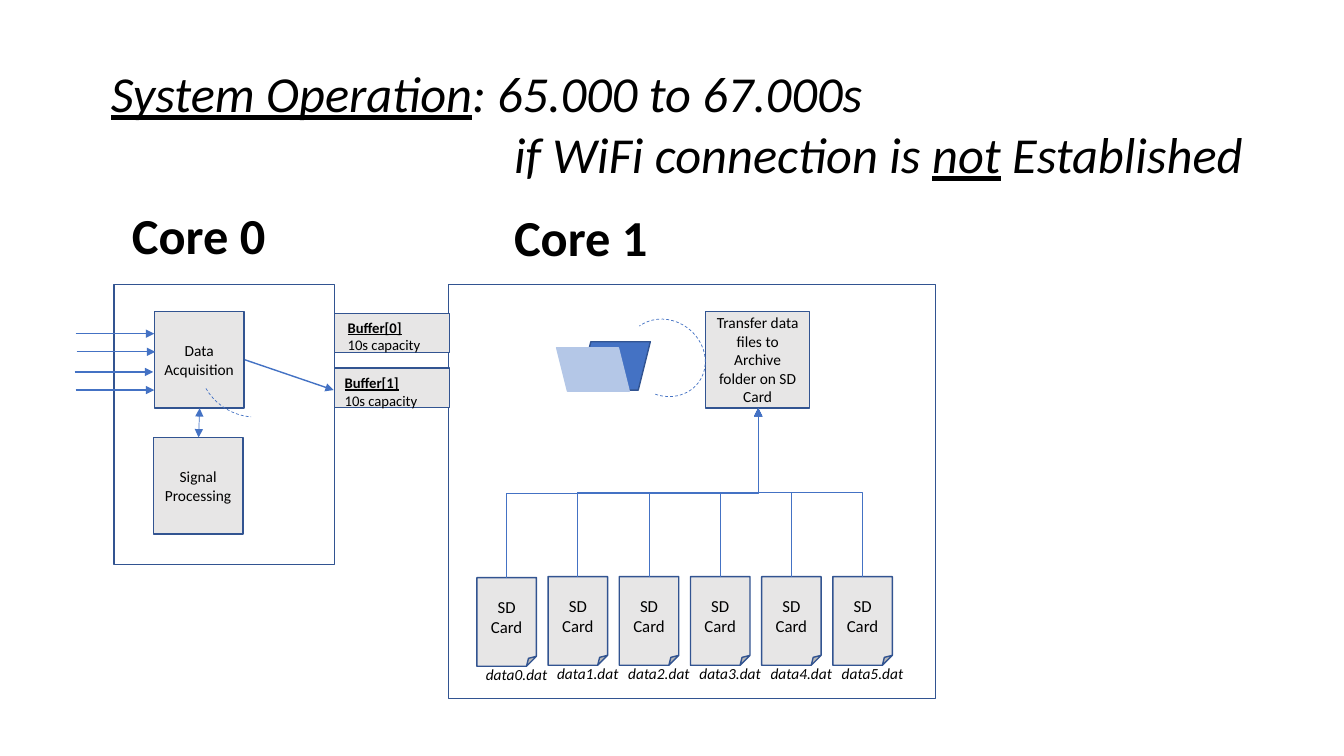
from pptx import Presentation, util as u
from pptx.dml.color import RGBColor
from pptx.enum import shapes, text
from pptx.enum.dml import MSO_LINE
from pptx.oxml import parse_xml
from pptx.oxml.ns import nsdecls

KIND = shapes.MSO_SHAPE
LINK = shapes.MSO_CONNECTOR
GREY, NAVY, BLUE, PALE, BLACK = "E7E6E6", "325491", "4472C4", "B4C7E7", "000000"

# Content: each paragraph is a list of (words, format) spans
ITALIC = {"italic": True}
LINED = {"italic": True, "underline": True}
TITLE = [[("System Operation", LINED), (": 65.000 to 67.000s", ITALIC)],
         [("if WiFi connection is ", ITALIC), ("not", LINED), (" Established", ITALIC)]]
CORES = [("Core 0", 1.21, 1.98), ("Core 1", 5, 2)]
FRAMES = [(1.13, 2.82, 2.19, 2.78), (4.45, 2.82, 4.83, 4.11)]
BUFFERS = [("Buffer[0]", 3.11, 3.35, 3.11), ("Buffer[1]", 3.65, 3.32, 3.66)]
CAPACITY = "10s capacity"
TASKS = [("Data Acquisition", 1.53, 3.09, 0.89, 0.96),
         ("Signal Processing", 1.52, 4.34, 0.89, 0.96),
         ("Transfer data files to Archive folder on SD Card", 7, 3.09, 1.03, 0.96)]
INPUTS = [(0.75, 3.31), (0.76, 3.49), (0.74, 3.69), (0.75, 3.87)]
ARCS = [((1.98, 3.04, 1.07, 1.11), (155.04, 213.81)),
        ((6.23, 3.14, 0.74, 0.82), (200.97, 75.71))]

# Card row
CARD_COUNT, CARD_LEFT, CARD_STEP = 6, 4.73, 0.706
CARD_TOP, CARD_W, CARD_H = 5.72, 0.59, 0.88
ARCHIVE_X, ARCHIVE_Y = 7.52, 4.05

deck = Presentation()
deck.slide_width, deck.slide_height = u.Inches(13.33), u.Inches(7.5)
page = deck.slides.add_slide(deck.slide_layouts[6])


def inches(*values):
    return [u.Inches(value) for value in values]


def color(value):
    return RGBColor.from_string(value)


def write(box, paras, size, align=text.PP_ALIGN.LEFT):
    """Fill a text frame and return its paragraphs."""
    frame = box.text_frame
    for index, spans in enumerate(paras):
        para = frame.paragraphs[0] if index == 0 else frame.add_paragraph()
        para.alignment = align
        for words, style in spans:
            span = para.add_run()
            span.text = words
            span.font.color.rgb = color(BLACK)
            for name, value in {"name": "Calibri", "size": u.Pt(size), **style}.items():
                setattr(span.font, name, value)
    return frame.paragraphs


def label(at, paras, size, wrap=False):
    box = page.shapes.add_textbox(*inches(*at))
    box.text_frame.word_wrap = wrap
    box.text_frame.auto_size = text.MSO_AUTO_SIZE.SHAPE_TO_FIT_TEXT
    return write(box, paras, size)


def shape(kind, at, fill=None, line=NAVY, width=1, words=None, size=11):
    box = page.shapes.add_shape(kind, *inches(*at))
    box.shadow.inherit = False
    if fill:
        box.fill.solid()
        box.fill.fore_color.rgb = color(fill)
    else:
        box.fill.background()
    box.line.color.rgb = color(line)
    box.line.width = u.Pt(width)
    if words:
        box.text_frame.vertical_anchor = text.MSO_ANCHOR.MIDDLE
        write(box, [[(words, {})]], size, text.PP_ALIGN.CENTER)
    return box


def arrow(start, end, width=1, kind=LINK.STRAIGHT, ends=("tailEnd",)):
    link = page.shapes.add_connector(kind, *inches(*start, *end))
    link.line.color.rgb = color(BLUE)
    link.line.width = u.Pt(width)
    for name in ends:
        link.line._ln.append(parse_xml(f'<a:{name} {nsdecls("a")} type="triangle"/>'))
    link._element.spPr.append(parse_xml(f'<a:effectLst {nsdecls("a")}/>'))
    return link


def riser(start, end):
    """Elbow that leaves upwards: a sideways elbow turned about its centre."""
    (x1, y1), (x2, y2) = start, end
    mid_x, mid_y = (x1 + x2) / 2, (y1 + y2) / 2
    side = 1 if x2 > x1 else -1
    half_w, half_h = side * (y1 - y2) / 2, abs(x2 - x1) / 2
    link = arrow((mid_x + half_w, mid_y + half_h), (mid_x - half_w, mid_y - half_h),
                 0.5, LINK.ELBOW)
    link._element.spPr.xfrm.set("rot", str((90 if side > 0 else 270) * 60000))


# Headings
title = label((1, 0.57, 11.49, 1.31), TITLE, 36, wrap=True)
title[1]._p.get_or_add_pPr().set("marL", str(u.Inches(4)))
for name, left, top in CORES:
    label((left, top, 1.54, 0.71), [[(name, {"bold": True})]], 36)

# Cores, buffers and tasks
for at in FRAMES:
    shape(KIND.RECTANGLE, at)
for name, top, text_left, text_top in BUFFERS:
    shape(KIND.RECTANGLE, (3.32, top, 1.14, 0.39), GREY)
    label((text_left, text_top, 0.94, 0.45),
          [[(name, {"bold": True, "underline": True})], [(CAPACITY, {})]], 10.5)
for words, *at in TASKS:
    shape(KIND.RECTANGLE, at, GREY, words=words)

# Data flow arrows
for left, y in INPUTS:
    arrow((left, y), (left + 0.78, y))
arrow((2.43, 3.57), (3.31, 3.87))
arrow((1.98, 4.05), (1.97, 4.34), 0.5, ends=("headEnd", "tailEnd"))

# Cards with file names, joined to the archive task
for index in range(CARD_COUNT):
    left = CARD_LEFT + index * CARD_STEP
    top = CARD_TOP + (0.01 if index == 0 else 0)
    shape(KIND.FOLDED_CORNER, (left, top, CARD_W, CARD_H), GREY, words="SD Card", size=12)
    label((left - 0.01, top + 0.82, 0.82, 0.29), [[(f"data{index}.dat", ITALIC)]], 11)
    riser((left + CARD_W / 2, top), (ARCHIVE_X, ARCHIVE_Y))

# Archive folder
shape(KIND.PARALLELOGRAM, (5.74, 3.39, 0.71, 0.48), BLUE)
front = shape(KIND.PARALLELOGRAM, (5.52, 3.45, 0.72, 0.43), PALE, PALE)
front.rotation = 180
front._element.spPr.xfrm.set("flipH", "1")

# Dashed arcs
for at, angles in ARCS:
    arc = shape(KIND.ARC, at, line=BLUE, width=0.5)
    arc.line.dash_style = MSO_LINE.DASH
    arc.rotation = 126.4
    arc._element.spPr.xfrm.set("flipH", "1")
    for index, angle in enumerate(angles):
        arc.adjustments[index] = angle * 0.6  # 60000 units a degree, 100000 a whole

deck.save("out.pptx")
